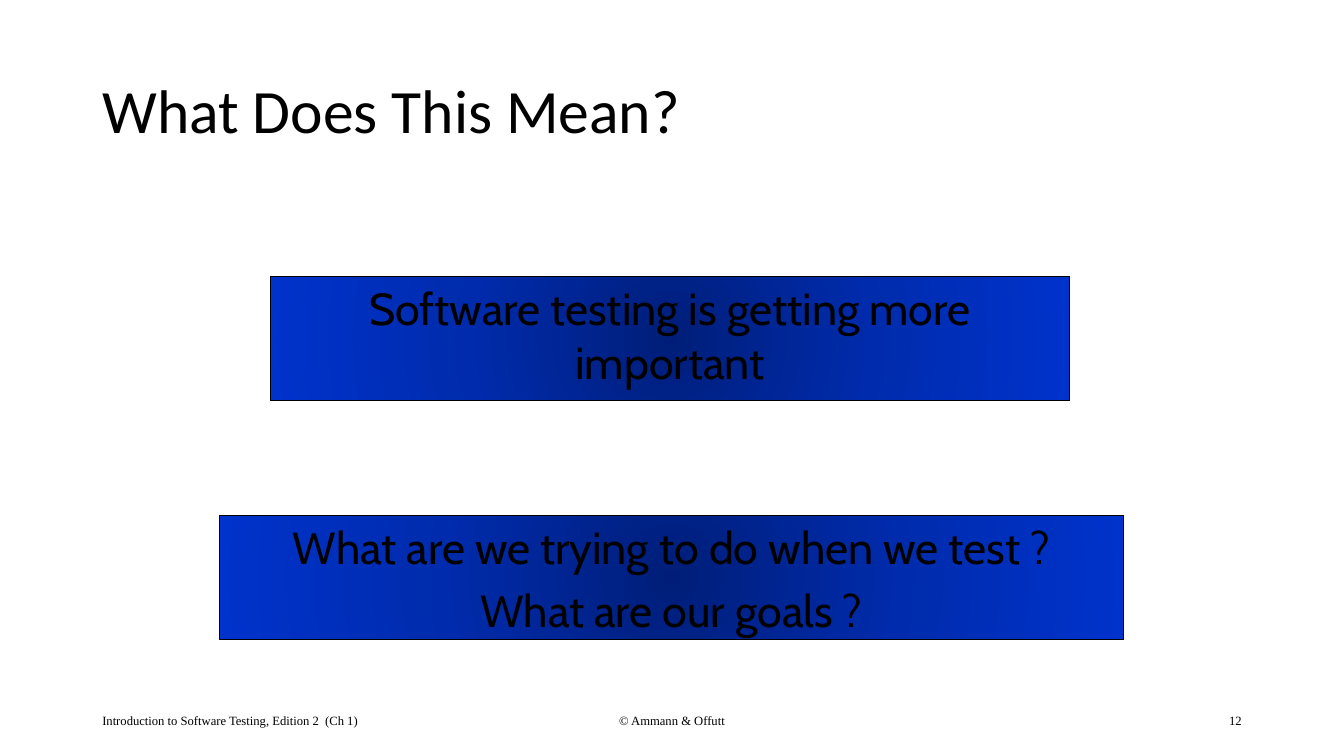
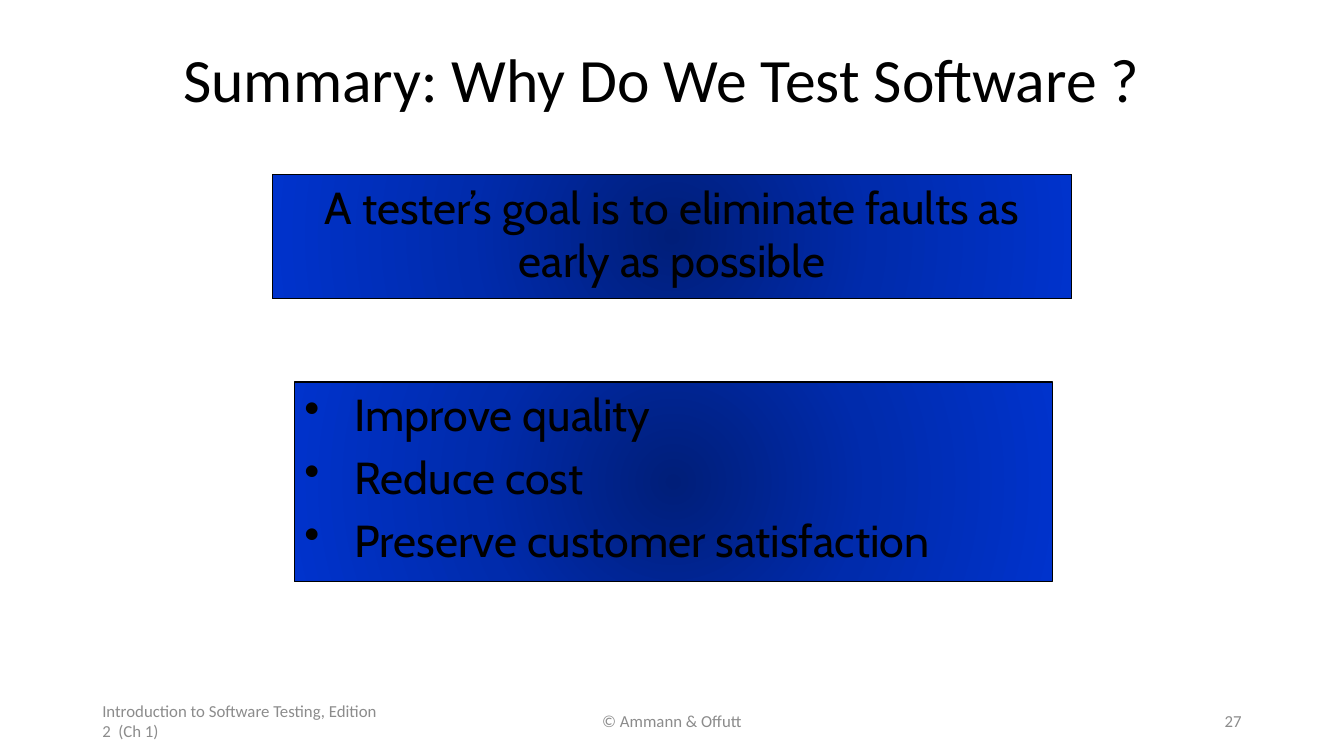
from dataclasses import dataclass

from pptx import Presentation
from pptx.dml.color import RGBColor
from pptx.enum.shapes import MSO_SHAPE
from pptx.enum.text import MSO_ANCHOR as Anchor, PP_ALIGN as Align
from pptx.oxml import parse_xml
from pptx.oxml.ns import nsdecls, qn
from pptx.shapes.autoshape import Shape
from pptx.slide import Slide
from pptx.text.text import TextFrame, _Paragraph as Paragraph
from pptx.util import Emu, Inches, Pt

COLUMNS, ROWS = 160, 90
CELL = Inches(1 / 12)

BLACK = RGBColor(0x00, 0x00, 0x00)
GREY = RGBColor(0x8C, 0x8C, 0x8C)
GLOW = (
    (0, RGBColor(0x00, 0x1E, 0x79)),
    (50, RGBColor(0x00, 0x2B, 0xAC)),
    (100, RGBColor(0x00, 0x33, 0xCC)),
)


@dataclass(frozen=True)
class Area:
    column: float
    row: float
    columns: float
    rows: float

    def lengths(self) -> tuple[Emu, ...]:
        cells = (self.column, self.row, self.columns, self.rows)
        return tuple(Emu(round(count * CELL)) for count in cells)


@dataclass(frozen=True)
class TextStyle:
    font: str
    size: float
    color: RGBColor


@dataclass(frozen=True)
class Banner:
    area: Area
    lines: tuple[str, ...]
    bulleted: bool = False


@dataclass(frozen=True)
class Page:
    title: str
    title_area: Area
    number: int
    footer_style: TextStyle
    banners: tuple[Banner, ...]


TITLE_STYLE = TextStyle("Calibri", 44, BLACK)
BANNER_STYLE = TextStyle("Cabin", 32, BLACK)
SERIF_FOOTER = TextStyle("Times New Roman", 9, BLACK)
GREY_FOOTER = TextStyle("Calibri", 12, GREY)

MARGIN = 11
FOOTER_ROW, FOOTER_ROWS = 83.4, 4.8
SIDE_COLUMNS, MIDDLE_COLUMNS = 36, 54
BANNER_ROWS = 14.8
LINE_GAP = 0.2

PAGES = (
    Page(
        "What Does This Mean?",
        Area(MARGIN, 4.8, COLUMNS - 2 * MARGIN, 17.4),
        12,
        SERIF_FOOTER,
        (
            Banner(
                Area(32.16, 32.88, 95.2, BANNER_ROWS),
                ("Software testing is getting more important",),
            ),
            Banner(
                Area(26.16, 61.32, 107.64, BANNER_ROWS),
                ("What are we trying to do when we test ?", "What are our goals ?"),
            ),
        ),
    ),
    Page(
        "Summary: Why Do We Test Software ?",
        Area(20.64, 1.32, 118.8, 17),
        27,
        GREY_FOOTER,
        (
            Banner(
                Area(32.4, 20.76, 95.2, BANNER_ROWS),
                ("A tester’s goal is to eliminate faults as early as possible",),
            ),
            Banner(
                Area(35.04, 45.48, 90.24, 23.8),
                ("Improve quality", "Reduce cost", "Preserve customer satisfaction"),
                bulleted=True,
            ),
        ),
    ),
)


def add_text(paragraph: Paragraph, text: str, style: TextStyle, align: Align) -> None:
    paragraph.alignment = align
    run = paragraph.add_run()
    run.text = text
    run.font.name = style.font
    run.font.size = Pt(style.size)
    run.font.color.rgb = style.color


def add_label(
    slide: Slide, area: Area, text: str, style: TextStyle, align: Align = Align.LEFT
) -> Paragraph:
    frame = slide.shapes.add_textbox(*area.lengths()).text_frame
    frame.word_wrap = True
    frame.vertical_anchor = Anchor.MIDDLE
    paragraph = frame.paragraphs[0]
    add_text(paragraph, text, style, align)
    return paragraph


def add_footer(slide: Slide, number: int, style: TextStyle) -> None:
    parts = (
        (MARGIN, SIDE_COLUMNS, "Introduction to Software Testing, Edition 2  (Ch 1)", Align.LEFT),
        ((COLUMNS - MIDDLE_COLUMNS) / 2, MIDDLE_COLUMNS, "© Ammann & Offutt", Align.CENTER),
        (COLUMNS - MARGIN - SIDE_COLUMNS, SIDE_COLUMNS, str(number), Align.RIGHT),
    )
    for column, columns, text, align in parts:
        add_label(slide, Area(column, FOOTER_ROW, columns, FOOTER_ROWS), text, style, align)


def fill_with_glow(shape: Shape) -> None:
    shape.fill.gradient()
    properties = shape._element.spPr
    stops = "".join(
        f'<a:gs pos="{percent * 1000}"><a:srgbClr val="{color}"/></a:gs>'
        for percent, color in GLOW
    )
    glow = parse_xml(
        f'<a:gradFill {nsdecls("a")} rotWithShape="1"><a:gsLst>{stops}</a:gsLst>'
        '<a:path path="circle"><a:fillToRect l="50000" t="50000" r="50000" b="50000"/>'
        "</a:path></a:gradFill>"
    )
    properties.replace(properties.find(qn("a:gradFill")), glow)


def add_bullet(paragraph: Paragraph) -> None:
    properties = paragraph._p.get_or_add_pPr()
    properties.set("marL", str(Inches(0.5)))
    properties.set("indent", str(-Inches(0.5)))
    properties.append(parse_xml(f'<a:buChar {nsdecls("a")} char="•"/>'))


def write_lines(frame: TextFrame, banner: Banner) -> None:
    align = Align.LEFT if banner.bulleted else Align.CENTER
    for index, line in enumerate(banner.lines):
        paragraph = frame.add_paragraph() if index else frame.paragraphs[0]
        if banner.bulleted:
            add_bullet(paragraph)
        if index:
            paragraph.space_before = Pt(LINE_GAP * BANNER_STYLE.size)
        add_text(paragraph, line, BANNER_STYLE, align)


def add_banner(slide: Slide, banner: Banner) -> None:
    shape = slide.shapes.add_shape(MSO_SHAPE.RECTANGLE, *banner.area.lengths())
    shape.shadow.inherit = False
    fill_with_glow(shape)
    shape.line.color.rgb = BLACK
    shape.line.width = Pt(0.75)
    shape.text_frame.word_wrap = True
    shape.text_frame.vertical_anchor = Anchor.TOP
    write_lines(shape.text_frame, banner)


def main() -> None:
    presentation = Presentation()
    presentation.slide_width = Emu(COLUMNS * CELL)
    presentation.slide_height = Emu(ROWS * CELL)
    blank_layout = presentation.slide_layouts[6]
    for page in PAGES:
        slide = presentation.slides.add_slide(blank_layout)
        title = add_label(slide, page.title_area, page.title, TITLE_STYLE)
        title.line_spacing = 0.9
        add_footer(slide, page.number, page.footer_style)
        for banner in page.banners:
            add_banner(slide, banner)
    presentation.save("out.pptx")


if __name__ == "__main__":
    main()
